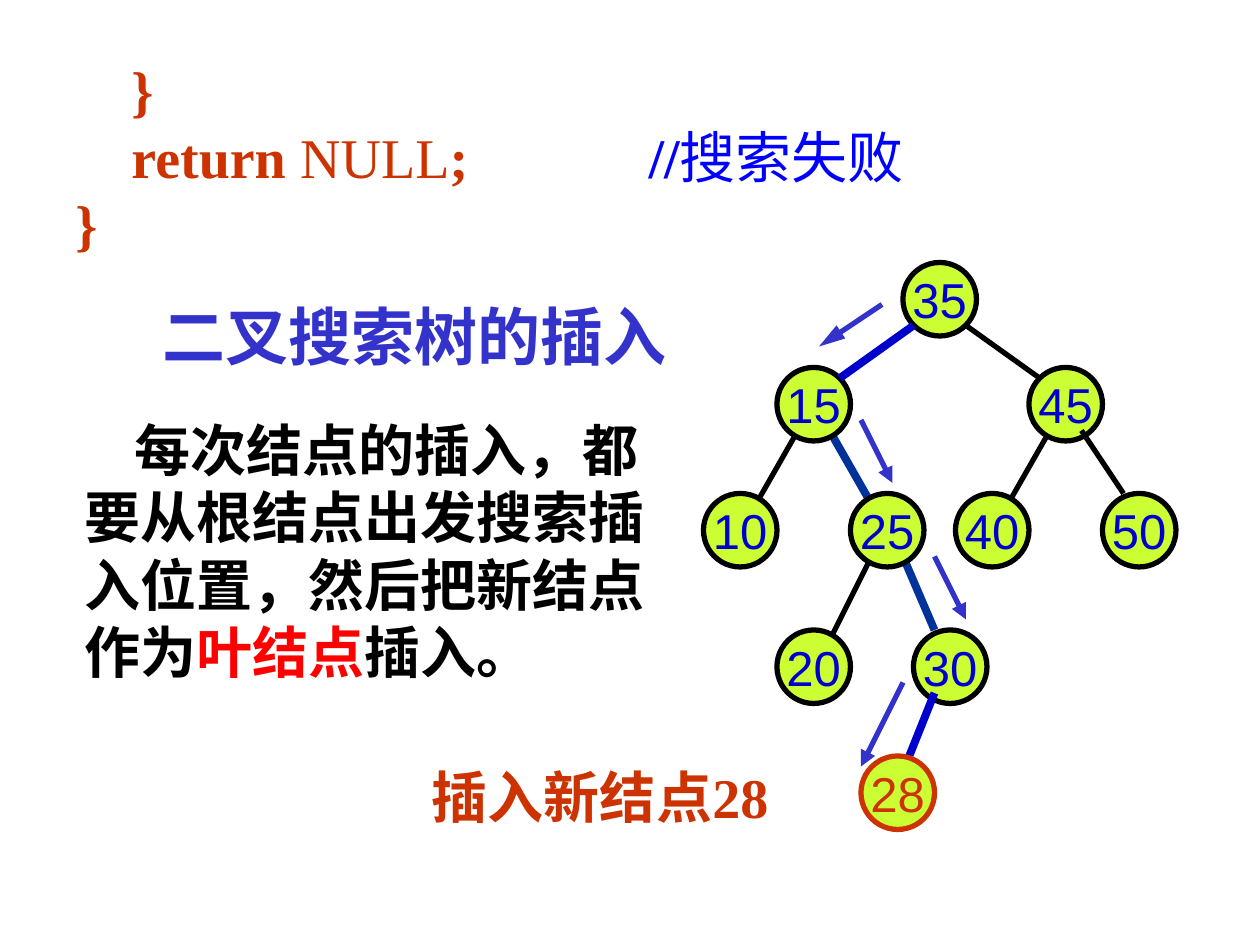
from dataclasses import dataclass

from lxml.etree import SubElement
from pptx import Presentation
from pptx.dml.color import RGBColor
from pptx.enum.shapes import MSO_CONNECTOR as Connector, MSO_SHAPE as Preset
from pptx.enum.text import MSO_ANCHOR as Anchor, MSO_AUTO_SIZE as AutoSize, PP_ALIGN as Align
from pptx.oxml.ns import qn
from pptx.util import Inches, Pt

CELL = Inches(1) // 12  # the tree sits on a grid of twelve cells to the inch
NODE_CELLS = 7
SERIF, SANS = "Times New Roman", "Arial"
BLACK, RED, BLUE = "000000", "FF0000", "0000FF"
RUST, INDIGO, DEEP_BLUE, NAVY, LIME = "CC3300", "3333CC", "0000CC", "003399", "CCFF33"


@dataclass(frozen=True)
class Node:
    key: int
    column: int
    row: int
    outline: str = BLACK
    ink: str = DEEP_BLUE


@dataclass(frozen=True)
class Line:
    start: tuple[int, int]
    end: tuple[int, int]
    color: str = BLACK
    width: float = 3
    head_length: str = ""


@dataclass(frozen=True)
class Span:
    text: str
    color: str = ""
    bold: bool | None = None


BACK_EDGES = [
    Line((100, 41), (96, 48)),
    Line((86, 53), (89, 60), NAVY, 4.5),
    Line((83, 53), (79, 61)),
    Line((76, 41), (72, 48)),
    Line((79, 41), (83, 48), NAVY, 4.5),
]
NODES = [
    Node(35, 86, 25),
    Node(15, 74, 35), Node(45, 98, 35),
    Node(50, 105, 47), Node(40, 91, 47), Node(25, 81, 47), Node(10, 67, 47),
    Node(20, 74, 60), Node(30, 87, 60),
]
FRONT_LINES = [
    Line((87, 31), (80, 36), DEEP_BLUE, 4.5),
    Line((92, 31), (99, 36)),
    Line((103, 41), (107, 47)),
    Line((84, 29), (78, 33), INDIGO, head_length="lg"),
    Line((86, 65), (82, 73), INDIGO, head_length="med"),
    Line((89, 66), (85, 76), DEEP_BLUE, 4.5),
    Line((82, 40), (85, 46), INDIGO, head_length="med"),
    Line((89, 53), (92, 59), INDIGO, head_length="med"),
]
NEW_NODE = Node(28, 82, 72, RUST, RUST)

CODE = [
    [Span("    }")],
    [Span("    return"), Span(" NULL", bold=False), Span(";\t"),
     Span("//", BLUE), Span("搜索失败", BLUE, False)],
    [Span("}")],
]
RULE = [[
    Span("每次结点的插入，都要从根结点出发搜索插入位置，然后把新结点作为"),
    Span("叶结点", RED),
    Span("插入。"),
]]
CAPTION = [[Span("插入新结点28")]]


def rgb(color: str) -> RGBColor:
    return RGBColor.from_string(color)


def set_font(font, name: str, size: float, color: str, bold: bool) -> None:
    font.name, font.size, font.bold = name, Pt(size), bold
    font.color.rgb = rgb(color)


def add_line(page, line: Line) -> None:
    points = [CELL * cells for cells in (*line.start, *line.end)]
    connector = page.shapes.add_connector(Connector.STRAIGHT, *points)
    connector.line.color.rgb = rgb(line.color)
    connector.line.width = Pt(line.width)
    if line.head_length:
        SubElement(connector.line._get_or_add_ln(), qn("a:tailEnd"),
                   type="triangle", w="med", len=line.head_length)
    SubElement(connector._element.spPr, qn("a:effectLst"))


def add_node(page, node: Node) -> None:
    side = CELL * NODE_CELLS
    circle = page.shapes.add_shape(
        Preset.OVAL, CELL * node.column, CELL * node.row, side, side)
    circle.shadow.inherit = False
    circle.fill.solid()
    circle.fill.fore_color.rgb = rgb(LIME)
    circle.line.color.rgb = rgb(node.outline)
    circle.line.width = Pt(3)
    frame = circle.text_frame
    frame.word_wrap = False
    frame.vertical_anchor = Anchor.MIDDLE
    frame.text = str(node.key)
    para = frame.paragraphs[0]
    para.alignment = Align.CENTER
    set_font(para.font, SANS, 28, node.ink, False)


def add_text(page, place: tuple[float, ...], lines: list[list[Span]], color: str,
             tab: float = 0, indent: float = 0) -> None:
    """Place bold serif lines; place, tab and indent are in inches."""
    box = page.shapes.add_textbox(*map(Inches, place))
    frame = box.text_frame
    frame.word_wrap = True
    frame.auto_size = AutoSize.SHAPE_TO_FIT_TEXT
    for number, spans in enumerate(lines):
        para = frame.add_paragraph() if number else frame.paragraphs[0]
        properties = para._p.get_or_add_pPr()
        if indent:
            properties.set("indent", str(Inches(indent)))
        if tab:
            stops = SubElement(properties, qn("a:tabLst"))
            SubElement(stops, qn("a:tab"), pos=str(Inches(tab)), algn="l")
        set_font(para.font, SERIF, 32, color, True)
        for span in spans:
            run = para.add_run()
            run.text = span.text
            if span.color:
                run.font.color.rgb = rgb(span.color)
            if span.bold is not None:
                run.font.bold = span.bold


def set_title(page, text: str) -> None:
    title = page.shapes.title
    title.left, title.top, title.width, title.height = map(Inches, (1.08, 2.33, 4.42, 0.67))
    frame = title.text_frame
    frame.text = text
    frame.word_wrap = True
    frame.auto_size = AutoSize.NONE
    frame.vertical_anchor = Anchor.MIDDLE
    para = frame.paragraphs[0]
    para.alignment = Align.CENTER
    set_font(para.font, SERIF, 36, INDIGO, True)


def main() -> None:
    deck = Presentation()
    deck.slide_width, deck.slide_height = Inches(10), Inches(7.5)
    page = deck.slides.add_slide(deck.slide_layouts.get_by_name("Title Only"))
    set_title(page, "二叉搜索树的插入")
    add_text(page, (0.5, 0.39, 9.25, 1.7), CODE, RUST, tab=4.55)
    for edge in BACK_EDGES:
        add_line(page, edge)
    for node in NODES:
        add_node(page, node)
    for line in FRONT_LINES:
        add_line(page, line)
    add_node(page, NEW_NODE)
    add_text(page, (0.57, 3.25, 4.77, 2.24), RULE, BLACK, indent=0.4)
    add_text(page, (3.33, 6, 3.25, 0.64), CAPTION, RUST)
    deck.save("out.pptx")


if __name__ == "__main__":
    main()
